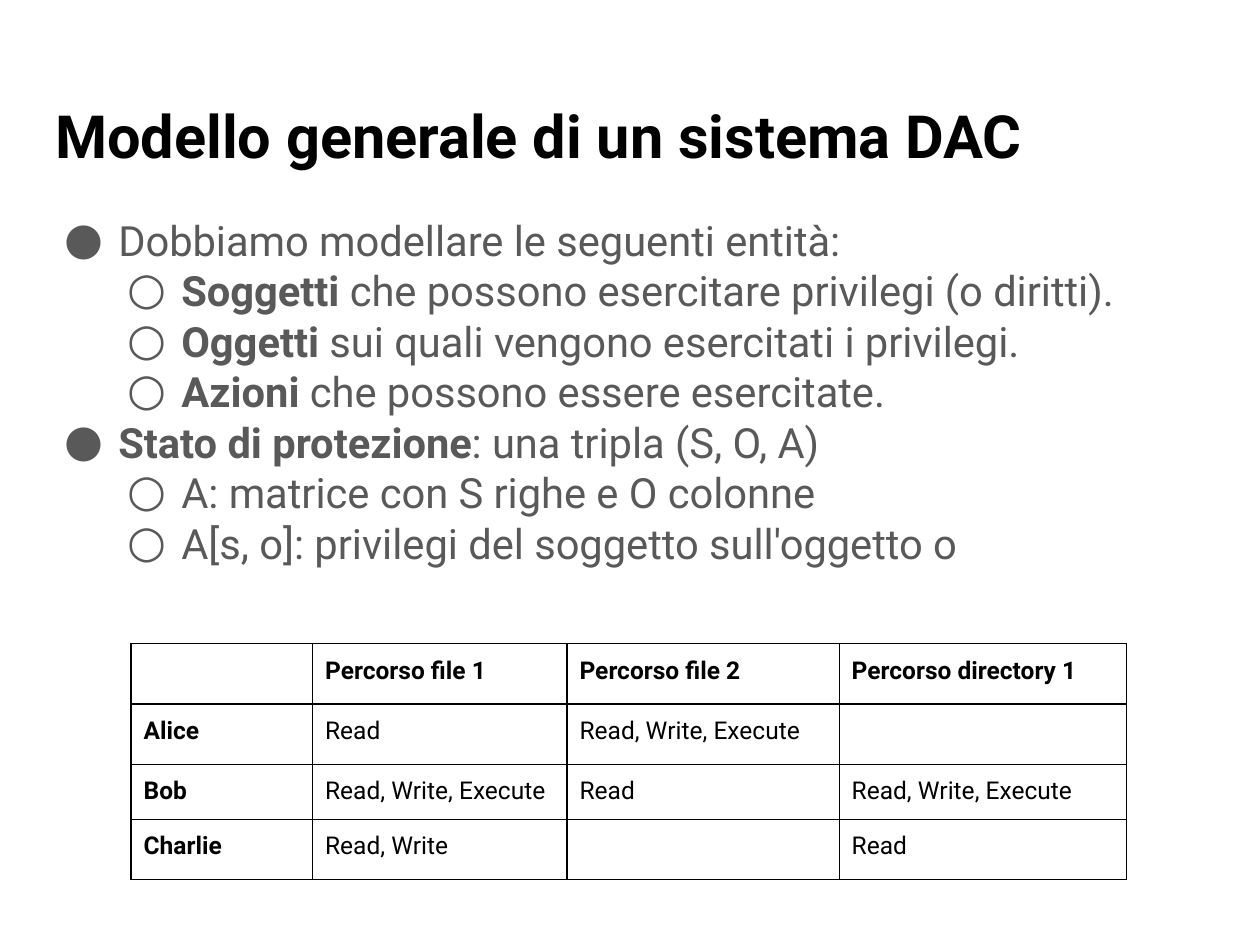
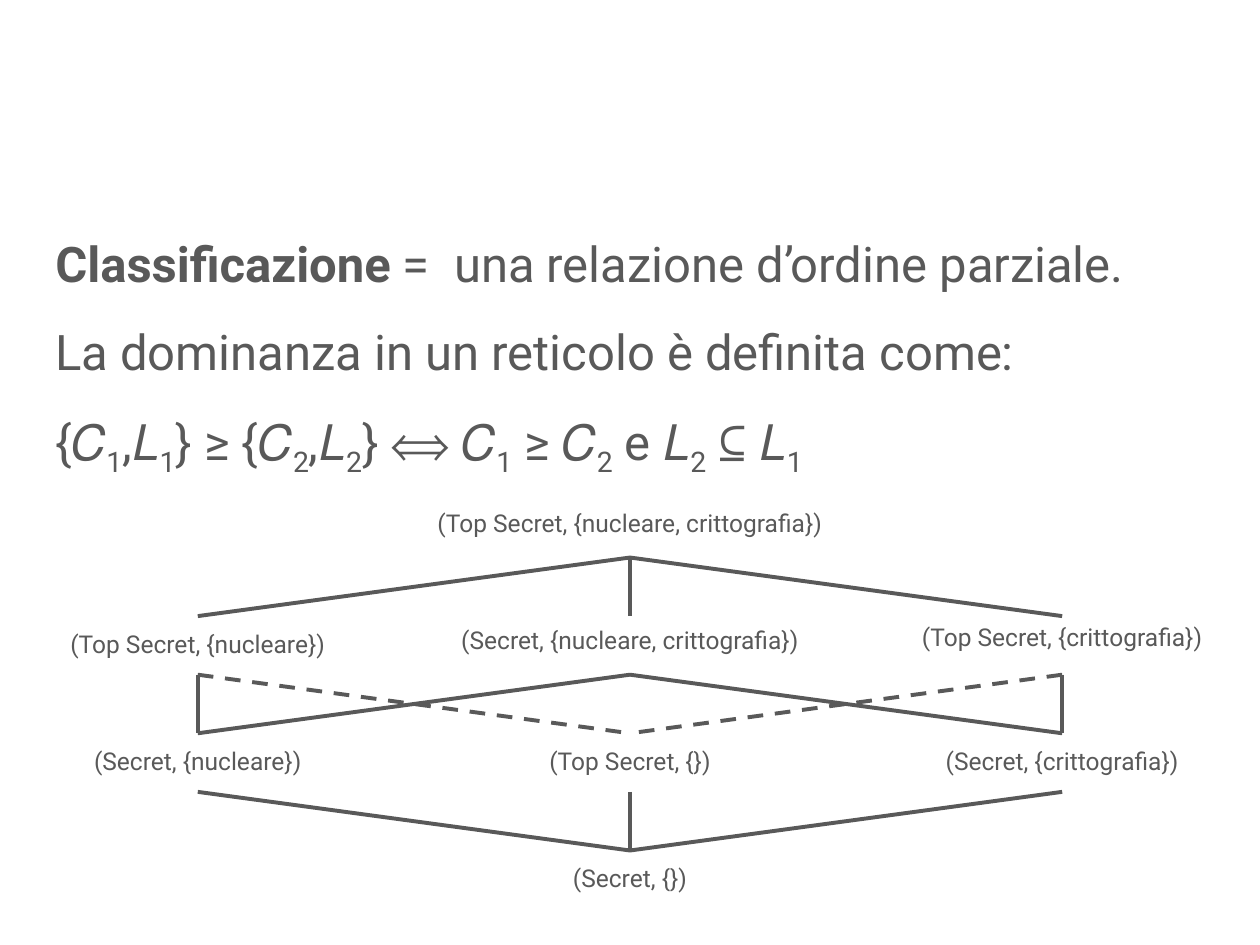
from dataclasses import dataclass
from lxml.etree import SubElement
from pptx import Presentation
from pptx.dml.color import RGBColor
from pptx.enum.dml import MSO_LINE
from pptx.enum.shapes import MSO_CONNECTOR
from pptx.enum.text import MSO_ANCHOR, PP_ALIGN
from pptx.oxml.ns import qn
from pptx.util import Inches, Pt


@dataclass(frozen=True)
class Theme:
    font: str = "Roboto"
    black: RGBColor = RGBColor(0, 0, 0)
    grey: RGBColor = RGBColor(0x59, 0x59, 0x59)
    title: float = 34
    list: float = 23.8
    body: float = 28
    small: float = 14
    rule: float = 2.25


theme = Theme()
deck = Presentation()
deck.slide_width, deck.slide_height = Inches(10), Inches(7.5)
blank = deck.slide_layouts[6]

# Lengths are percent of the slide's width (X) or height (Y).
X, Y = deck.slide_width / 100, deck.slide_height / 100
LEFT, WIDE, TOP = 3.4, 93.2, 22.4
PAD = Inches(0.1)


def write(par, text, size, color, low=False):
    """Fill a paragraph; parts between asterisks are bold, or subscript if low."""
    for i, part in enumerate(text.split("*")):
        if not part:
            continue
        run = par.add_run()
        run.text = part
        font = run.font
        font.name, font.size, font.color.rgb = theme.font, Pt(size), color
        font.bold = i % 2 == 1 and not low
        if i % 2 and low:
            font._element.set("baseline", "-25000")


def frame(slide, left, top, width, height, count=1):
    """Add a text box and return its frame with count paragraphs."""
    box = slide.shapes.add_textbox(
        int(left * X), int(top * Y), int(width * X), int(height * Y))
    text = box.text_frame
    text.word_wrap = True
    text.margin_left = text.margin_right = PAD
    text.margin_top = text.margin_bottom = PAD
    for _ in range(count - 1):
        text.add_paragraph()
    return text


# Slide 1: the DAC model
slide = deck.slides.add_slide(blank)
head = frame(slide, LEFT, 8.67, WIDE, 11.07)
head.vertical_anchor = MSO_ANCHOR.MIDDLE
write(head.paragraphs[0], "*Modello generale di un sistema DAC*", theme.title, theme.black)

points = [
    (0, "Dobbiamo modellare le seguenti entità:"),
    (1, "*Soggetti *che possono esercitare privilegi (o diritti)."),
    (1, "*Oggetti *sui quali vengono esercitati i privilegi."),
    (1, "*Azioni *che possono essere esercitate."),
    (0, "*Stato di protezione*: una tripla (S, O, A)"),
    (1, "A: matrice con S righe e O colonne"),
    (1, "A[s, o]: privilegi del soggetto sull'oggetto o"),
]
body = frame(slide, LEFT, TOP, WIDE, 43.33, len(points))
for par, (level, text) in zip(body.paragraphs, points):
    write(par, text, theme.list, theme.grey)
    par.level, par.line_spacing, par.space_before = level, 0.8, Pt(6)
    prop = par._p.get_or_add_pPr()
    prop.set("marL", str(Inches(0.5 * (level + 1))))
    prop.set("indent", str(Inches(-0.43)))
    tint = SubElement(prop, qn("a:buClr"))
    SubElement(tint, qn("a:srgbClr"), val=str(theme.grey))
    SubElement(prop, qn("a:buSzPct"), val="107000")
    SubElement(prop, qn("a:buFont"), typeface=theme.font)
    SubElement(prop, qn("a:buChar"), char="●○"[level])

full = "Read, Write, Execute"
rights = [
    ["", "*Percorso file 1*", "*Percorso file 2*", "*Percorso directory 1*"],
    ["*Alice*", "Read", full, ""],
    ["*Bob*", full, "Read", full],
    ["*Charlie*", "Read, Write", "", "Read"],
]
cols = [14.4, 20.2, 21.6, 22.8]
rows = [6.4, 6.4, 5.73, 6.4]
table = slide.shapes.add_table(
    len(rows), len(cols), int(10.4 * X), int(68.1 * Y),
    int(sum(cols) * X), int(sum(rows) * Y)).table
table.first_row = table.horz_banding = False
for col, size in zip(table.columns, cols):
    col.width = int(size * X)
for row, size, texts in zip(table.rows, rows, rights):
    row.height = int(size * Y)
    for cell, text in zip(row.cells, texts):
        cell.margin_left = cell.margin_right = PAD
        cell.margin_top = cell.margin_bottom = PAD
        par = cell.text_frame.paragraphs[0]
        write(par, text, theme.small, theme.black)
        SubElement(par._p, qn("a:endParaRPr"), sz=str(theme.small * 100))
        prop = cell._tc.get_or_add_tcPr()
        for side in "LRTB":
            edge = SubElement(prop, qn(f"a:ln{side}"), w=str(Pt(0.75)))
            paint = SubElement(edge, qn("a:solidFill"))
            SubElement(paint, qn("a:srgbClr"), val=str(theme.black))
        cell.fill.background()

# Slide 2: the lattice of classes
slide = deck.slides.add_slide(blank)
lines = [
    "*Classificazione* =  una relazione d’ordine parziale.",
    "La dominanza in un reticolo è definita come:",
    "{𝐶*1*,𝐿*1*} ≥ {𝐶*2*,𝐿*2*} ⟺ 𝐶*1* ≥ 𝐶*2* e 𝐿*2* ⊆ 𝐿*1*",
]
body = frame(slide, LEFT, TOP, WIDE, 31.33, len(lines))
for i, (par, text) in enumerate(zip(body.paragraphs, lines)):
    write(par, text, theme.body, theme.grey, low=i == 2)
    par.line_spacing = 1.15
    par.space_before = Pt(12 if i else 0)
par.space_after = Pt(12)

# Each label is as high as the gap under it.
mids = [15.7, 50, 84.3]
high = 6.2
tops = [52.8 + 2 * high * i for i in range(4)]
nodes = [  # row, column, width, line spacing, text
    (0, 1, 41.6, 0.9, "(Top Secret, {nucleare, crittografia})"),
    (1, 0, 31.5, 1, "(Top Secret, {nucleare})"),
    (1, 1, 31.5, 0.9, "(Secret, {nucleare, crittografia})"),
    (1, 2, 31.5, 0.8, "(Top Secret, {crittografia})"),
    (2, 0, 31.5, 1, "(Secret, {nucleare})"),
    (2, 1, 31.5, 1, "(Top Secret, {})"),
    (2, 2, 31.5, 1, "(Secret, {crittografia})"),
    (3, 1, 31.5, 1, "(Secret, {})"),
]
for row, col, width, space, text in nodes:
    par = frame(slide, mids[col] - width / 2, tops[row], width, high).paragraphs[0]
    write(par, text, theme.small, theme.grey)
    par.alignment, par.line_spacing = PP_ALIGN.CENTER, space

links = [  # upper row, upper column, lower column, dashed
    (0, 1, 0, False), (0, 1, 2, False), (0, 1, 1, False),
    (1, 0, 1, True), (1, 2, 1, True),
    (1, 1, 0, False), (1, 1, 2, False), (1, 0, 0, False), (1, 2, 2, False),
    (2, 2, 1, False), (2, 1, 1, False), (2, 0, 1, False),
]
for row, start, end, dashed in links:
    link = slide.shapes.add_connector(
        MSO_CONNECTOR.STRAIGHT,
        int(mids[start] * X), int((tops[row] + high) * Y),
        int(mids[end] * X), int(tops[row + 1] * Y))
    link.line.color.rgb, link.line.width = theme.grey, Pt(theme.rule)
    if dashed:
        link.line.dash_style = MSO_LINE.DASH
    SubElement(link._element.spPr, qn("a:effectLst"))

deck.save("out.pptx")
